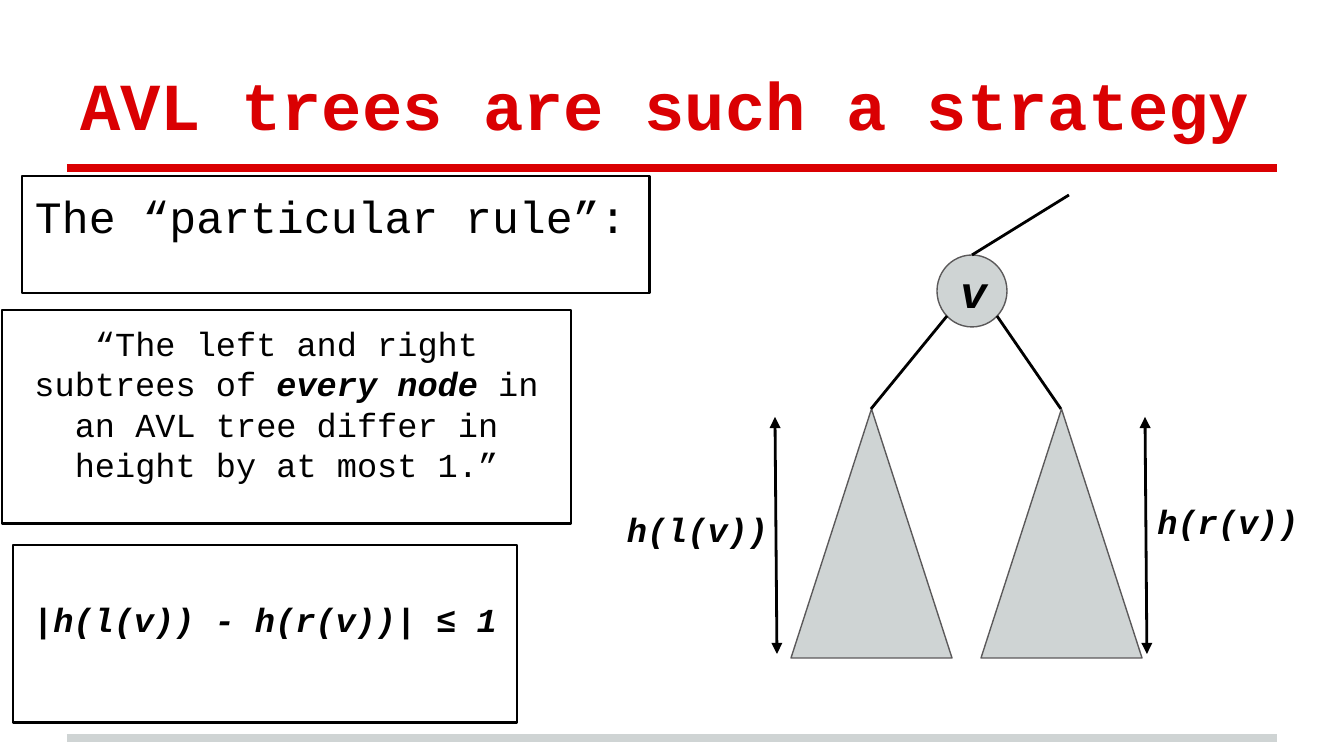
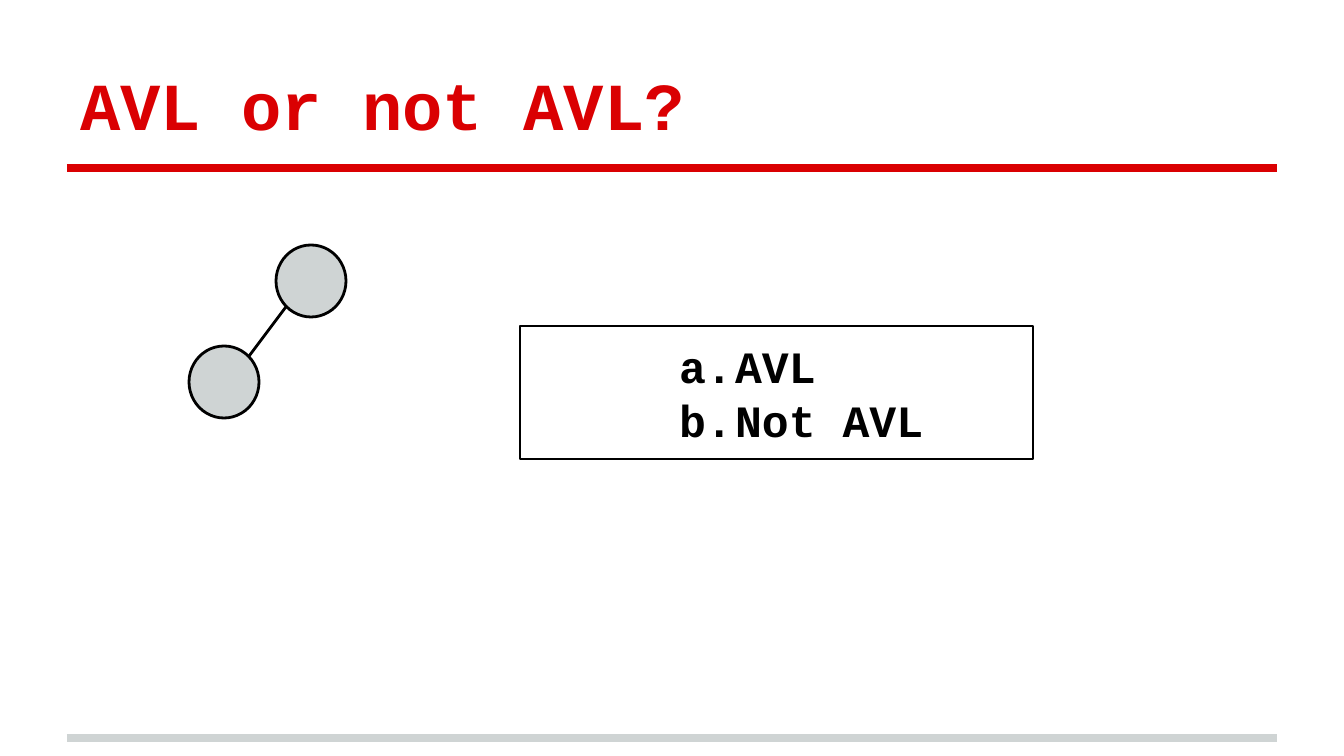
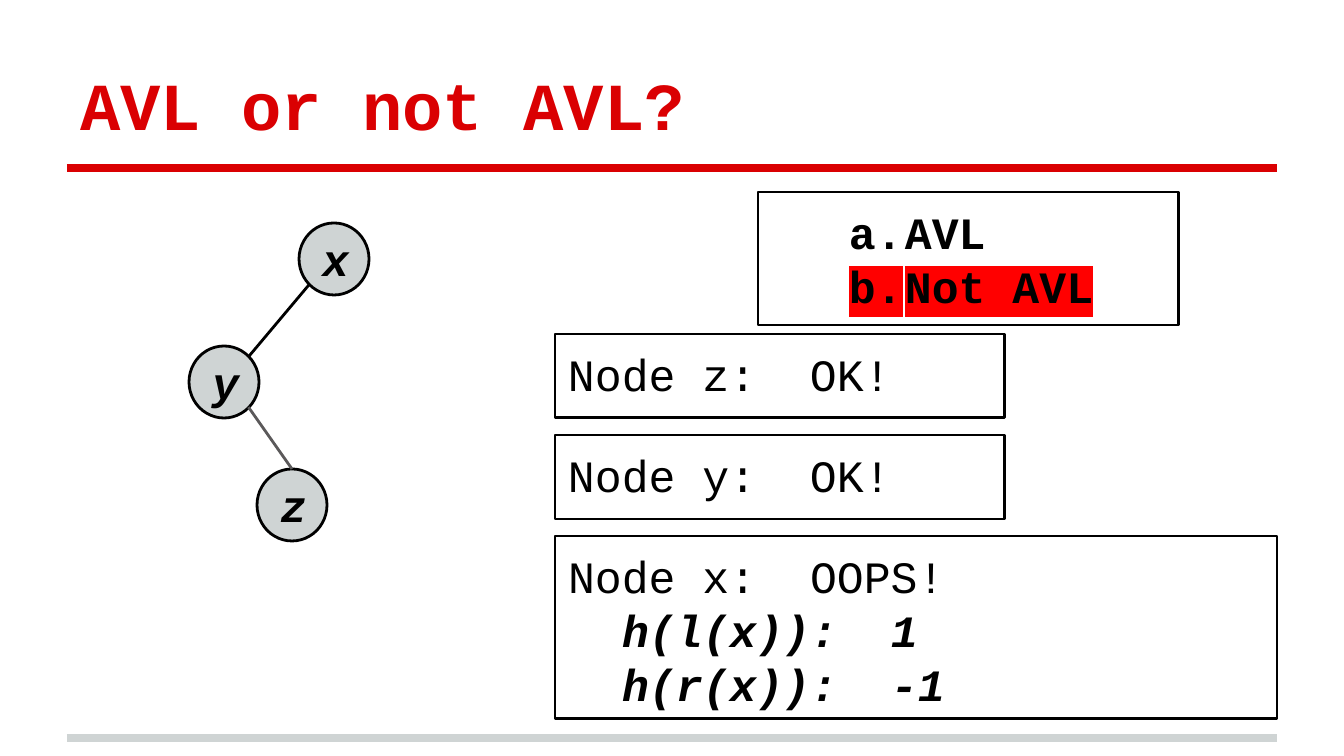
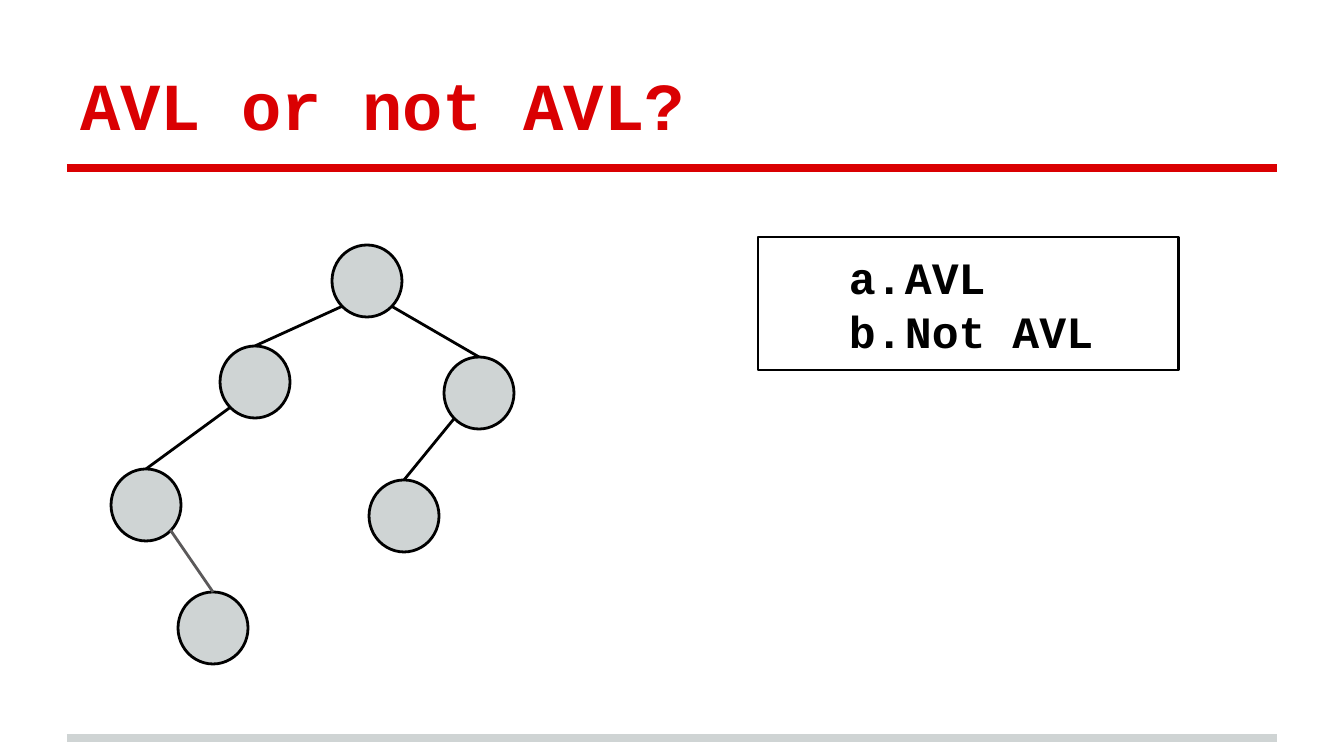
from lxml import etree
from pptx import Presentation
from pptx.dml.color import RGBColor
from pptx.enum.shapes import MSO_CONNECTOR, MSO_SHAPE
from pptx.enum.text import MSO_ANCHOR, MSO_AUTO_SIZE, PP_ALIGN
from pptx.oxml.ns import qn
from pptx.util import Pt

RECTANGLE = MSO_SHAPE.RECTANGLE
ELLIPSE = MSO_SHAPE.OVAL
TRIANGLE = MSO_SHAPE.ISOSCELES_TRIANGLE
STRAIGHT = MSO_CONNECTOR.STRAIGHT
TOP, MIDDLE, BOTTOM = MSO_ANCHOR.TOP, MSO_ANCHOR.MIDDLE, MSO_ANCHOR.BOTTOM
LEFT, CENTER = PP_ALIGN.LEFT, PP_ALIGN.CENTER

SCALE = 914400 / 134.4
FONT = "Courier New"
BLACK, RED, GREY, DARK = "000000", "DA0002", "CFD4D4", "5B595A"
HIGHLIGHT = "FF0000"
INSET = 13
NODE_WIDTH, NODE_HEIGHT = 70, 72
color = RGBColor.from_string


def add_box(page, kind, area, paragraphs=(), size=24, align=LEFT, anchor=TOP,
            fill=None, line=BLACK, weight=1.5, top_inset=INSET):
    box = page.shapes.add_shape(kind, *[round(n * SCALE) for n in area])
    box.shadow.inherit = False
    if fill:
        box.fill.solid()
        box.fill.fore_color.rgb = color(fill)
    else:
        box.fill.background()
    if line:
        box.line.color.rgb = color(line)
        box.line.width = Pt(weight)
    else:
        box.line.fill.background()
    frame = box.text_frame
    frame.word_wrap = True
    frame.vertical_anchor = anchor
    frame.margin_left = frame.margin_right = frame.margin_bottom = round(INSET * SCALE)
    frame.margin_top = round(top_inset * SCALE)
    for index, spans in enumerate(paragraphs):
        para = frame.add_paragraph() if index else frame.paragraphs[0]
        para.alignment = align
        for text, style in spans:
            span = para.add_run()
            span.text = text
            span.font.name = FONT
            span.font.size = Pt(size)
            span.font.bold = "b" in style
            span.font.italic = "i" in style
            span.font.color.rgb = color(BLACK)
    return box


def add_line(page, start, end, ink=BLACK, weight=1.5, arrows=False):
    points = [round(n * SCALE) for n in (*start, *end)]
    connector = page.shapes.add_connector(STRAIGHT, *points)
    connector.line.color.rgb = color(ink)
    connector.line.width = Pt(weight)
    if arrows:
        outline = connector.line._get_or_add_ln()
        for tag in ("a:headEnd", "a:tailEnd"):
            etree.SubElement(outline, qn(tag), type="triangle")
    etree.SubElement(connector._element.spPr, qn("a:effectLst"))


deck = Presentation()
deck.slide_width = round(1344 * SCALE)
deck.slide_height = round(756 * SCALE)

pages = []
question = "AVL or not AVL?"
for heading in ("AVL trees are such a strategy", question, question, question):
    page = deck.slides.add_slide(deck.slide_layouts[5])
    pages.append(page)
    add_line(page, (67, 738), (1277, 738), GREY, 4)
    add_line(page, (67, 168), (1277, 168), RED, 4)
    title = page.shapes.title
    title.left, title.top, title.width, title.height = [
        round(n * SCALE) for n in (67, 31, 1210, 126)]
    frame = title.text_frame
    frame.text = heading
    frame.auto_size = MSO_AUTO_SIZE.NONE
    frame.word_wrap = True
    frame.vertical_anchor = BOTTOM
    frame.margin_left = frame.margin_right = round(INSET * SCALE)
    frame.margin_top = frame.margin_bottom = round(INSET * SCALE)
    para = frame.paragraphs[0]
    para.alignment = LEFT
    font = para.runs[0].font
    font.name, font.size, font.bold = FONT, Pt(36), True
    font.color.rgb = color(RED)
rule_page, pair_page, chain_page, tree_page = pages

add_box(rule_page, RECTANGLE, (22, 176, 628, 117), [[("The “particular rule”:", "")]])
add_box(rule_page, RECTANGLE, (2, 310, 569, 214), [[
    ("“The left and right subtrees of ", ""),
    ("every node", "bi"),
    (" in an AVL tree differ in height by at most 1.”", ""),
]], 18, CENTER)
add_box(rule_page, RECTANGLE, (13, 545, 504, 178),
        [[("|h(l(v)) - h(r(v))| ≤ 1", "bi")]], 18, CENTER, top_inset=54)

add_box(rule_page, ELLIPSE, (937, 255, NODE_WIDTH, NODE_HEIGHT), [[("v", "bi")]],
        align=CENTER, anchor=MIDDLE, fill=GREY, line=DARK, weight=0.75)
add_line(rule_page, (972, 255), (1069, 195))
for corner, peak, arrow, label, label_area in (
    (947, 871, 776, "h(l(v))", (610, 496, 175, 71)),
    (997, 1061, 1146, "h(r(v))", (1133, 488, 190, 71)),
):
    add_box(rule_page, TRIANGLE, (peak - 80, 409, 161, 249),
            fill=GREY, line=DARK, weight=0.75)
    add_line(rule_page, (corner, 316), (peak, 409))
    add_line(rule_page, (arrow - 1, 417), (arrow + 1, 654), arrows=True)
    add_box(rule_page, RECTANGLE, label_area, [[(label, "bi")]], 18, CENTER, line=None)

trees = (
    (pair_page,
     {"root": (276, 245), "left": (189, 346)},
     (("root", "left", 0.15, 0.85, BLACK),)),
    (chain_page,
     {"x": (299, 223), "y": (189, 346), "z": (257, 469)},
     (("x", "y", 0.15, 0.85, BLACK), ("y", "z", 0.85, 0.5, DARK))),
    (tree_page,
     {"root": (332, 245), "left": (220, 346), "right": (444, 357),
      "left left": (111, 469), "right left": (369, 480), "leaf": (178, 592)},
     (("root", "left", 0.15, 0.5, BLACK), ("root", "right", 0.85, 0.5, BLACK),
      ("left", "left left", 0.15, 0.5, BLACK),
      ("right", "right left", 0.15, 0.5, BLACK),
      ("left left", "leaf", 0.85, 0.5, DARK))),
)
for page, nodes, edges in trees:
    for name, (left, top) in nodes.items():
        label = [[(name, "bi")]] if page is chain_page else ()
        add_box(page, ELLIPSE, (left, top, NODE_WIDTH, NODE_HEIGHT), label,
                align=CENTER, anchor=MIDDLE, fill=GREY)
    for parent, child, leave, enter, ink in edges:
        start_left, start_top = nodes[parent]
        end_left, end_top = nodes[child]
        drop = 0 if enter == 0.5 else 0.15
        add_line(page,
                 (start_left + leave * NODE_WIDTH, start_top + 0.85 * NODE_HEIGHT),
                 (end_left + enter * NODE_WIDTH, end_top + drop * NODE_HEIGHT), ink)

for page, area, indent in (
    (pair_page, (520, 326, 513, 133), 202),
    (chain_page, (758, 192, 421, 133), 134),
    (tree_page, (758, 237, 421, 133), 134),
):
    choices = add_box(page, RECTANGLE, area, [[("AVL", "b")], [("Not AVL", "b")]])
    for para in choices.text_frame.paragraphs:
        properties = para._p.get_or_add_pPr()
        properties.set("marL", str(round(indent * SCALE)))
        properties.set("indent", str(round(-56 * SCALE)))
        bullet_color = etree.SubElement(properties, qn("a:buClr"))
        etree.SubElement(bullet_color, qn("a:srgbClr"), val=BLACK)
        etree.SubElement(properties, qn("a:buFont"), typeface=FONT)
        etree.SubElement(properties, qn("a:buAutoNum"), type="alphaLcPeriod")
    if page is chain_page:
        span = choices.text_frame.paragraphs[1].runs[0]
        marker = etree.Element(qn("a:highlight"))
        etree.SubElement(marker, qn("a:srgbClr"), val=HIGHLIGHT)
        span._r.rPr.find(qn("a:solidFill")).addnext(marker)

for index, name in enumerate("zy"):
    add_box(chain_page, RECTANGLE, (555, 334 + 101 * index, 450, 84),
            [[(f"Node {name}:  OK!", "")]])
verdict = add_box(chain_page, RECTANGLE, (555, 536, 722, 183), [
    [("Node x:  OOPS!", "")],
    [("h(l(x)):  1", "bi")],
    [("h(r(x)):  -1", "bi")],
])
for para in verdict.text_frame.paragraphs[1:]:
    para._p.get_or_add_pPr().set("marL", str(round(54 * SCALE)))

deck.save("out.pptx")
